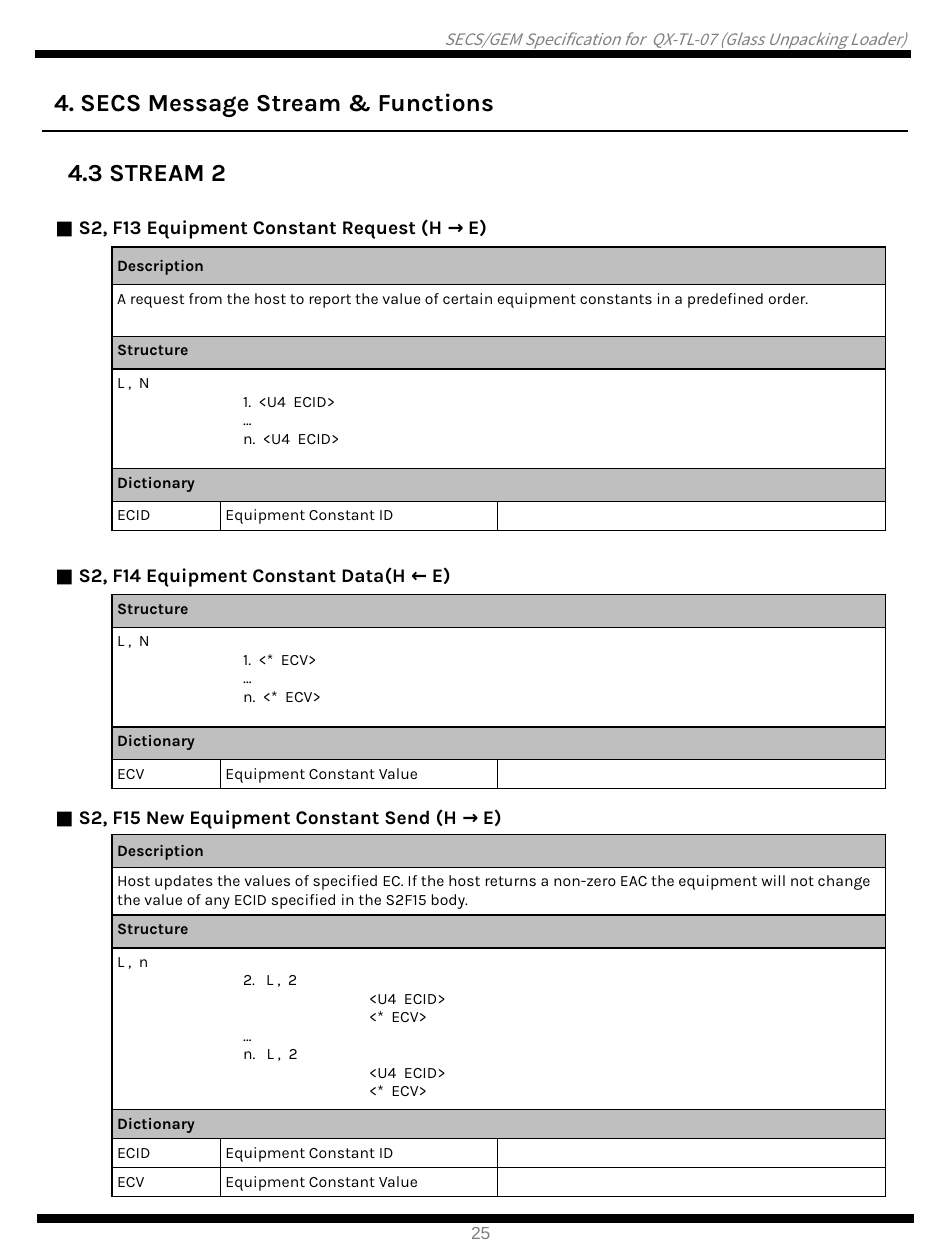
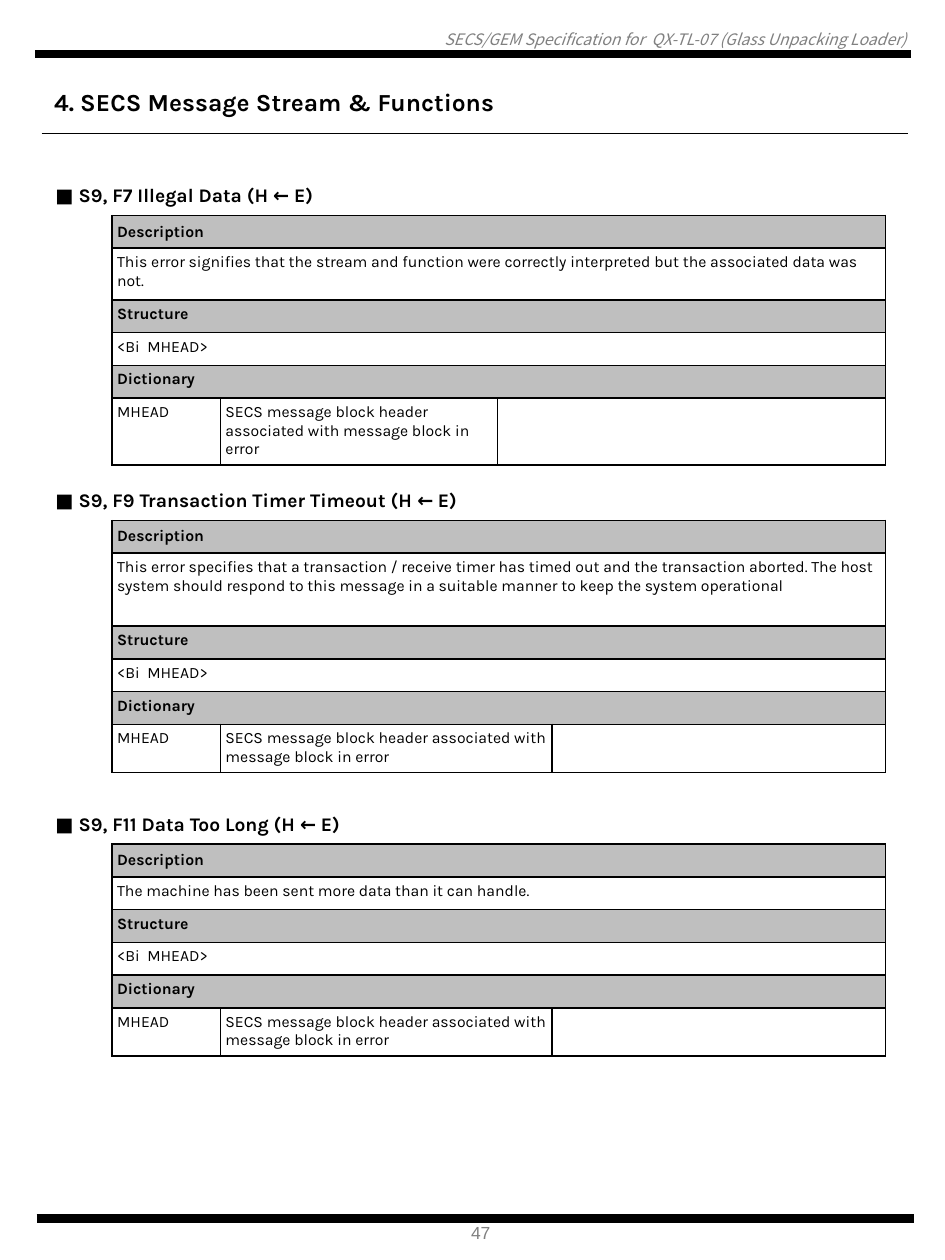
import pptx
import pptx.util
import pptx.dml.color
import pptx.enum.shapes
import pptx.enum.text
import pptx.oxml.ns
import lxml.etree

WIDE, HIGH = 7.5, 10
BLACK, WHITE, GREY, BAND = "000000", "FFFFFF", "808080", "BFBFBF"
BODY, HEAD = "Karla", "Noto Sans CJK KR"
RUNNING = "SECS/GEM Specification for  QX-TL-07 (Glass Unpacking Loader)"
TITLE = "4. SECS Message Stream & Functions"
LEFT, TOTAL, MARK, NAME = 0.4, 6.63, 0.49, 0.86
NARROW, BROAD = 2.2, 2.63

MHEAD = "SECS message block header associated with message block in error"
BLOCK = ("Structure", 0.26, "<Bi  MHEAD>", 0.26)

# parts: label, label height, body, body height
# terms: name, meaning, height
SLIDES = [
    dict(page="25", rule=1.04, sub="4.3 STREAM 2", tables=[
        dict(head="■ S2, F13 Equipment Constant Request (H → E)", top=1.66, tall=0.3, mean=NARROW,
             parts=[("Description", 0.3, "A request from the host to report the value of certain "
                     "equipment constants in a predefined order.", 0.41),
                    ("Structure", 0.26, "L ,  N\n\t1.  <U4  ECID>\n\t…\n\tn.  <U4  ECID>", 0.79)],
             label=0.26, terms=[("ECID", "Equipment Constant ID", 0.23)]),
        dict(head="■ S2, F14 Equipment Constant Data(H ← E)", top=4.42, tall=0.3, mean=NARROW,
             parts=[("Structure", 0.26, "L ,  N\n\t1.  <*  ECV>\n\t…\n\tn.  <*  ECV>", 0.79)],
             label=0.26, terms=[("ECV", "Equipment Constant Value", 0.23)]),
        dict(head="■ S2, F15 New Equipment Constant Send (H → E)", top=6.36, tall=0.26, mean=NARROW,
             parts=[("Description", 0.26, "Host updates the values of specified EC. If the host "
                     "returns a non-zero EAC the equipment will not change the value of any ECID "
                     "specified in the S2F15 body.", 0.38),
                    ("Structure", 0.26, "L ,  n\n\t2.   L ,  2\n\t\t<U4  ECID>\n\t\t<*  ECV>\n\t…\n"
                     "\tn.   L ,  2\n\t\t<U4  ECID>\n\t\t<*  ECV>", 1.28)],
             label=0.23, terms=[("ECID", "Equipment Constant ID", 0.23),
                                ("ECV", "Equipment Constant Value", 0.23)]),
    ]),
    dict(page="47", rule=1.06, sub=None, tables=[
        dict(head="■ S9, F7 Illegal Data (H ← E)", top=1.41, tall=0.3, mean=NARROW,
             parts=[("Description", 0.26, "This error signifies that the stream and function were "
                     "correctly interpreted but the associated data was not.", 0.41), BLOCK],
             label=0.26, terms=[("MHEAD", MHEAD, 0.53)]),
        dict(head="■ S9, F9 Transaction Timer Timeout (H ← E)", top=3.83, tall=0.3, mean=BROAD,
             parts=[("Description", 0.26, "This error specifies that a transaction / receive timer "
                     "has timed out and the transaction aborted. The host system should respond to "
                     "this message in a suitable manner to keep the system operational", 0.58), BLOCK],
             label=0.26, terms=[("MHEAD", MHEAD, 0.38)]),
        dict(head="■ S9, F11 Data Too Long (H ← E)", top=6.4, tall=0.3, mean=BROAD,
             parts=[("Description", 0.26, "The machine has been sent more data than it can handle.",
                     0.26), BLOCK],
             label=0.26, terms=[("MHEAD", MHEAD, 0.38)]),
    ]),
]

inch = pptx.util.Inches
ALIGN = pptx.enum.text.PP_ALIGN
ANCHOR = pptx.enum.text.MSO_ANCHOR


def color(code):
    return pptx.dml.color.RGBColor.from_string(code)


def style(frame, size, font=BODY, bold=False, tint=BLACK, align=ALIGN.LEFT, slant=False):
    for para in frame.paragraphs:
        para.alignment = align
        face = para.font
        face.size, face.name = pptx.util.Pt(size), font
        face.bold, face.italic = bold, slant
        face.color.rgb = color(tint)


def fit(shape, box, words, inset=True, wrap=False, **look):
    """Place a text shape, then fill and format it."""
    shape.left, shape.top, shape.width, shape.height = map(inch, box)
    frame = shape.text_frame
    frame.word_wrap = wrap
    frame.auto_size = pptx.enum.text.MSO_AUTO_SIZE.SHAPE_TO_FIT_TEXT
    frame.vertical_anchor = ANCHOR.TOP
    if not inset:
        frame.margin_left = frame.margin_right = frame.margin_top = frame.margin_bottom = 0
    frame.text = words
    style(frame, **look)


def label(slide, box, words, **look):
    fit(slide.shapes.add_textbox(0, 0, 0, 0), box, words, **look)


def rule(slide, left, right, y, width):
    line = slide.shapes.add_connector(pptx.enum.shapes.MSO_CONNECTOR.STRAIGHT,
                                      inch(left), inch(y), inch(right), inch(y))
    line.line.color.rgb = color(BLACK)
    line.line.width = pptx.util.Pt(width)
    props = line._element.spPr
    lxml.etree.SubElement(props, pptx.oxml.ns.qn("a:effectLst"))


def edge(cell, **sides):
    """Set cell borders, each side given as a colour."""
    props = cell._tc.get_or_add_tcPr()
    for spot, side in enumerate("LRTB"):
        tint = sides[side]
        line = lxml.etree.Element(pptx.oxml.ns.qn("a:ln" + side),
                                  w=str(pptx.util.Pt(0.75 if tint == WHITE else 1)))
        fill = lxml.etree.SubElement(line, pptx.oxml.ns.qn("a:solidFill"))
        lxml.etree.SubElement(fill, pptx.oxml.ns.qn("a:srgbClr"), val=tint)
        props.insert(spot, line)


def tabs(para):
    """Set left tab stops at one and two inches."""
    stops = lxml.etree.SubElement(para._p.get_or_add_pPr(), pptx.oxml.ns.qn("a:tabLst"))
    for spot in (1, 2):
        lxml.etree.SubElement(stops, pptx.oxml.ns.qn("a:tab"), pos=str(inch(spot)), algn="l")


def write(cell, words, size=9, bold=False, mid=False):
    cell.text = words
    cell.vertical_anchor = ANCHOR.MIDDLE if mid else ANCHOR.TOP
    for para in cell.text_frame.paragraphs:
        if "\t" in para.text:
            tabs(para)
    style(cell.text_frame, size, bold=bold)


def table(slide, data):
    # Each row: height, words by column, whether it is a band
    rows = [(data["tall"], [data["head"]], False)]
    for name, high, body, deep in data["parts"]:
        rows += [(high, ["", name], True), (deep, ["", body], False)]
    last = len(rows)
    rows.append((data["label"], ["", "Dictionary"], True))
    rows += [(high, ["", name, mean, ""], False) for name, mean, high in data["terms"]]
    cols = [MARK, NAME, data["mean"], TOTAL - MARK - NAME - data["mean"]]

    grid = slide.shapes.add_table(len(rows), len(cols), inch(LEFT), inch(data["top"]),
                                  inch(TOTAL), inch(sum(row[0] for row in rows))).table
    grid.first_row = grid.horz_banding = False
    for col, wide in zip(grid.columns, cols):
        col.width = inch(wide)
    for r, (high, words, band) in enumerate(rows):
        grid.rows[r].height = inch(high)
        for c in range(len(cols)):
            cell = grid.cell(r, c)
            cell.margin_left = cell.margin_right = inch(0.04)
            cell.margin_top = cell.margin_bottom = inch(0.04)
            if band and c:
                cell.fill.solid()
                cell.fill.fore_color.rgb = color(BAND)
            else:
                cell.fill.background()
            ink = BLACK if r and c else WHITE
            edge(cell, L=ink, T=ink, B=ink, R=BLACK if r else WHITE)
            if c < len(words) and words[c]:
                write(cell, words[c], size=9 if r else 11, bold=band or r == 0,
                      mid=r == 0 or words[c] == "Description")
            else:
                end = cell.text_frame.paragraphs[0]._p.get_or_add_endParaRPr()
                end.set("sz", "900")
        if len(words) < len(cols):
            grid.cell(r, len(words) - 1).merge(grid.cell(r, len(cols) - 1))
    grid.cell(last, 0).merge(grid.cell(len(rows) - 1, 0))


def frame(slide, page):
    """Draw the running head, the two bars and the page number."""
    label(slide, (0.05, 0.24, 7.14, 0.15), RUNNING, inset=False, wrap=True, size=9,
          font=HEAD, tint=GREY, align=ALIGN.RIGHT, slant=True)
    rule(slide, 0.28, 7.23, 0.43, 4.75)
    rule(slide, 0.29, 7.25, 9.67, 4.75)
    label(slide, (3.64, 9.65, 0.37, 0.27), page, size=10, font="Arial", tint=GREY)


def main():
    deck = pptx.Presentation()
    deck.slide_width, deck.slide_height = inch(WIDE), inch(HIGH)
    for data in SLIDES:
        slide = deck.slides.add_slide(deck.slide_layouts[5])
        frame(slide, data["page"])
        fit(slide.shapes.title, (0.33, 0.64, 3.86, 0.34), TITLE, size=14, bold=True)
        rule(slide, 0.33, 7.21, data["rule"], 0.75)
        if data["sub"]:
            label(slide, (0.44, 1.2, 1.57, 0.34), data["sub"], size=14, bold=True)
        for item in data["tables"]:
            table(slide, item)
    deck.save("out.pptx")


if __name__ == "__main__":
    main()
